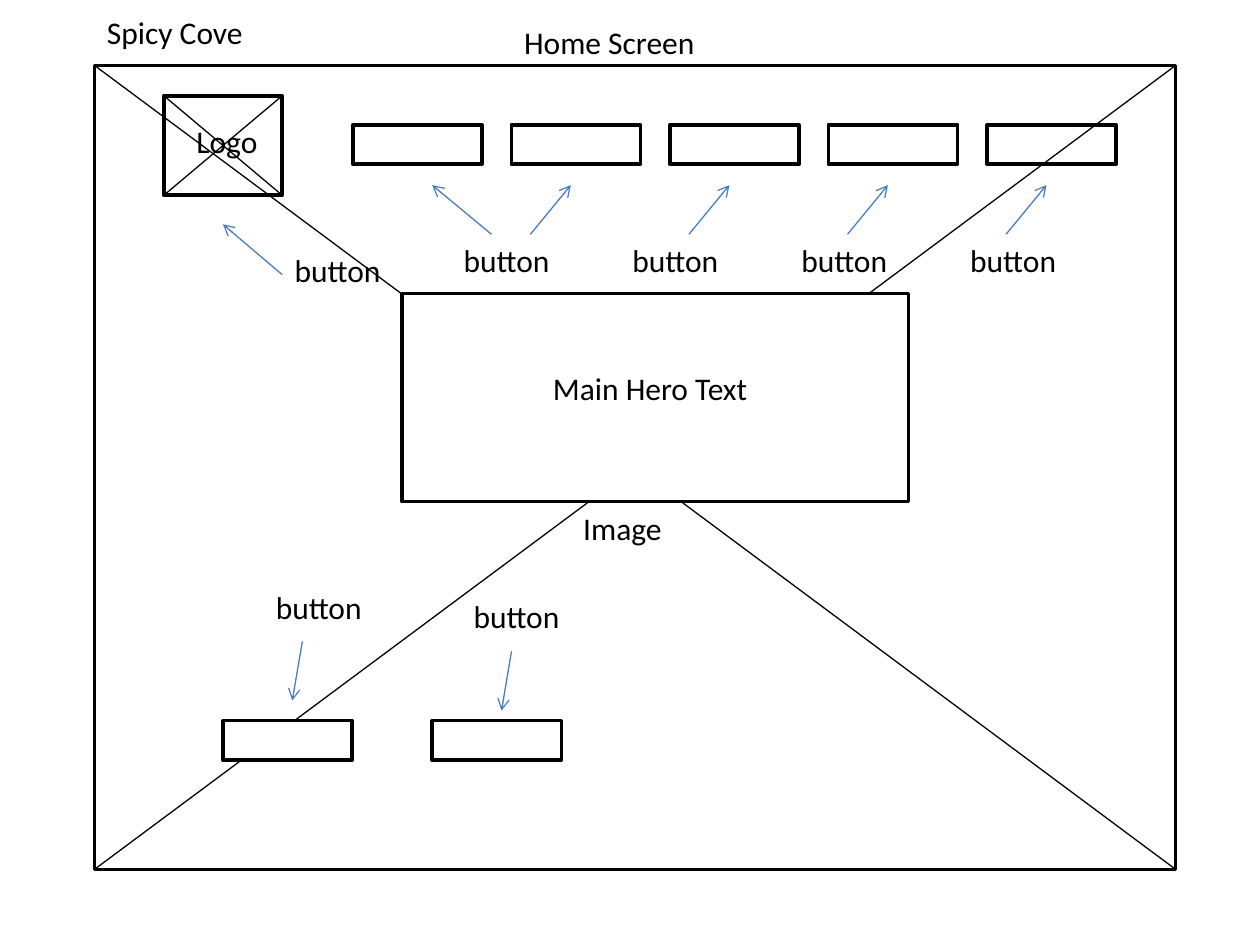
"""Build the home screen wireframe slide."""
from lxml import etree
from pptx import Presentation
from pptx.dml.color import RGBColor
from pptx.enum.shapes import MSO_CONNECTOR as CONN, MSO_SHAPE as SHAPE
from pptx.enum.text import MSO_ANCHOR as ANCHOR, MSO_AUTO_SIZE as AUTO, PP_ALIGN as ALIGN
from pptx.oxml.ns import qn
from pptx.util import Pt

BLACK, WHITE, BLUE = "000000", "FFFFFF", "4B7EBC"
TITLE = ("Home Screen", 292.3, 9.4, 113)
FRAME = (54, 37.4, 617.8, 459.4)
LOGO = (93.6, 54.7, 67.7, 56.9)
HERO = (229.7, 167.8, 289.4, 118.8)
BUTTON_SIZE = (73.8, 22.6)
LABEL_W, TEXT_H = 85, 29
NAV_X, NAV_Y, NAV_STEP, NAV_COUNT = 201.6, 71.3, 90.6, 5
NAV_LABEL_X, NAV_LABEL_Y, NAV_LABEL_STEP, NAV_LABEL_COUNT = 257.8, 133.9, 96.5, 4
NAV_ARROW = (303.1, 133.9, 326.2, 105.8)
LOWER_BUTTONS = [(127.4, 411.8), (247, 411.8)]
EXTRA_ARROWS = [
    (161.3, 157, 127.4, 128.2),
    (280.8, 133.9, 247, 105.8),
    (172.8, 366.5, 167, 400.3),
    (292.3, 372.2, 286.6, 406.1),
]
EXTRA_LABELS = [(161.3, 139.7), (150.5, 332.6), (263.5, 337.7)]
CAPTIONS = [
    ("Spicy Cove", 54, 3.6, 102.2),
    ("Image", 326.2, 287.3, 79.2),
]


def rgb(value):
    """Return the colour of a hex string."""
    return RGBColor.from_string(value)


def pts(*values):
    """Return lengths in points."""
    return [Pt(v) for v in values]


def write(sp, text):
    """Put one left-aligned line of text into a shape."""
    tf = sp.text_frame
    tf.word_wrap = True
    tf.auto_size = AUTO.NONE
    tf.vertical_anchor = ANCHOR.TOP
    p = tf.paragraphs[0]
    p.alignment = ALIGN.LEFT
    r = p.add_run()
    r.text = text
    r.font.name, r.font.size = "Calibri", Pt(18)
    r.font.color.rgb = rgb(BLACK)


def add_text(text, x, y, w):
    """Add a text box."""
    write(s.shapes.add_textbox(*pts(x, y, w, TEXT_H)), text)


def add_box(x, y, w, h):
    """Add a white rectangle with a black outline."""
    sp = s.shapes.add_shape(SHAPE.RECTANGLE, *pts(x, y, w, h))
    sp.shadow.inherit = False
    sp.fill.solid()
    sp.fill.fore_color.rgb = rgb(WHITE)
    sp.line.color.rgb = rgb(BLACK)
    sp.line.width = Pt(2)


def add_line(x1, y1, x2, y2, color=BLACK, arrow=False):
    """Add a thin line, with an arrowhead at its end if asked."""
    c = s.shapes.add_connector(CONN.STRAIGHT, *pts(x1, y1, x2, y2))
    c.line.color.rgb = rgb(color)
    c.line.width = Pt(0.75)
    props = c.element.spPr
    if arrow:
        etree.SubElement(props.find(qn("a:ln")), qn("a:tailEnd"), type="arrow")
    etree.SubElement(props, qn("a:effectLst"))


def add_cross(x, y, w, h):
    """Add both diagonals of a rectangle."""
    add_line(x, y, x + w, y + h)
    add_line(x, y + h, x + w, y)


prs = Presentation()
prs.slide_width, prs.slide_height = pts(720, 540)
s = prs.slides.add_slide(prs.slide_layouts[5])

text, x, y, w = TITLE
title = s.shapes.title
title.left, title.top, title.width, title.height = pts(x, y, w, TEXT_H)
write(title, text)

add_box(*FRAME)
add_box(*LOGO)
add_cross(*LOGO)
add_text("Logo", 105.1, 66.2, 51.1)
for i in range(NAV_COUNT):
    add_box(NAV_X + i * NAV_STEP, NAV_Y, *BUTTON_SIZE)
add_cross(*FRAME)
for x, y in LOWER_BUTTONS:
    add_box(x, y, *BUTTON_SIZE)

x1, y1, x2, y2 = NAV_ARROW
nav_arrows = [(x1 + i * NAV_STEP, y1, x2 + i * NAV_STEP, y2) for i in range(NAV_COUNT - 1)]
for arrow in nav_arrows + EXTRA_ARROWS:
    add_line(*arrow, color=BLUE, arrow=True)

nav_labels = [(NAV_LABEL_X + i * NAV_LABEL_STEP, NAV_LABEL_Y) for i in range(NAV_LABEL_COUNT)]
for x, y in nav_labels + EXTRA_LABELS:
    add_text("button", x, y, LABEL_W)
for caption in CAPTIONS:
    add_text(*caption)

add_box(*HERO)
add_text("Main Hero Text", 308.9, 207.4, 147.6)

prs.save("out.pptx")
